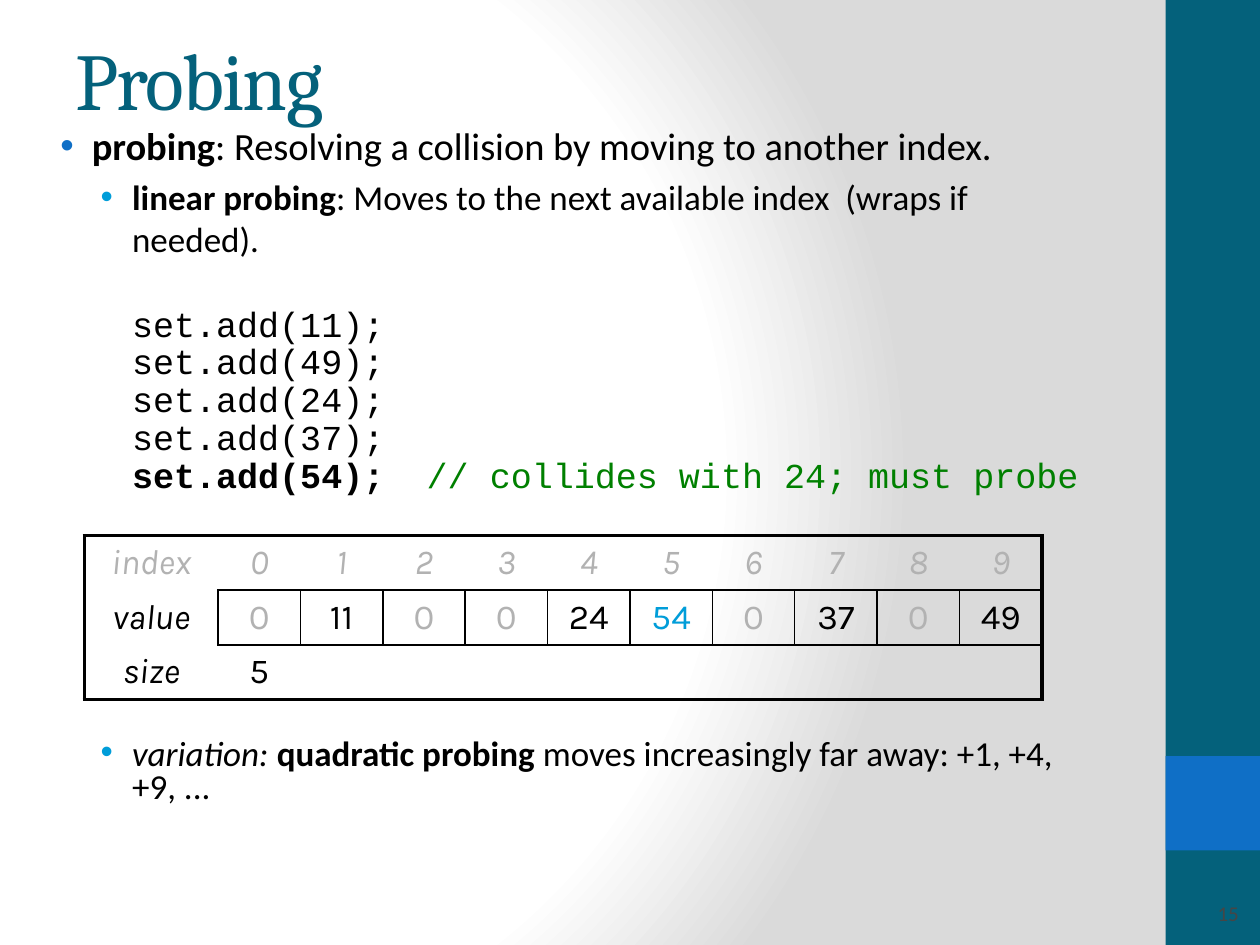
from lxml import etree
from pptx import Presentation
from pptx.dml.color import RGBColor
from pptx.enum.shapes import MSO_SHAPE
from pptx.enum.text import MSO_ANCHOR, PP_ALIGN
from pptx.oxml import parse_xml
from pptx.oxml.ns import nsdecls, qn
from pptx.util import Inches, Pt

RECTANGLE = MSO_SHAPE.RECTANGLE
MIDDLE = MSO_ANCHOR.MIDDLE
CENTER, RIGHT = PP_ALIGN.CENTER, PP_ALIGN.RIGHT
COLORS = {
    "teal": "04617B", "blue": "0F6FC6", "sky": "009DD9", "black": "000000",
    "green": "008000", "muted": "B2B2B2", "number": "464646",
    "white": "FFFFFF", "shade": "DADADA",
}
NO_STYLE = "{2D5ABB26-0587-4C30-8999-92F81FD0307C}"
THICK, THIN = 2.25, 1


def set_font(font, name, size, color, bold=False, italic=False):
    font.name, font.size = name, Pt(size)
    font.bold, font.italic = bold, italic
    font.color.rgb = RGBColor.from_string(COLORS[color])


def add_background(slide):
    stops = "".join(
        f'<a:gs pos="{position}"><a:srgbClr val="{COLORS[color]}"/></a:gs>'
        for position, color in ((0, "white"), (75000, "white"), (100000, "shade")))
    slide.element.cSld.insert(0, parse_xml(
        f'<p:bg {nsdecls("p", "a")}><p:bgPr><a:gradFill rotWithShape="1">'
        f'<a:gsLst>{stops}</a:gsLst><a:path path="circle">'
        '<a:fillToRect l="20000" t="50000" r="100000" b="50000"/></a:path>'
        '</a:gradFill><a:effectLst/></p:bgPr></p:bg>'))


def add_text_box(slide, left, top, width, height):
    frame = slide.shapes.add_textbox(
        Inches(left), Inches(top), Inches(width), Inches(height)).text_frame
    frame.word_wrap = True
    return frame


def add_sidebar(slide, left, top, width, height):
    for offset, band_height, color in ((0, height, "teal"), (6, width, "blue")):
        band = slide.shapes.add_shape(
            RECTANGLE, Inches(left), Inches(top + offset), Inches(width), Inches(band_height))
        band.shadow.inherit = False
        band.fill.solid()
        band.fill.fore_color.rgb = RGBColor.from_string(COLORS[color])
        band.line.fill.background()
    frame = add_text_box(slide, left, top + height - 0.45, width - 0.07, 0.4)
    frame.vertical_anchor = MIDDLE
    paragraph = frame.paragraphs[0]
    paragraph.text = "15"
    paragraph.alignment = RIGHT
    set_font(paragraph.font, "Calibri", 12, "number")


def add_title(slide, left, top, width, height):
    frame = add_text_box(slide, left, top, width, height)
    frame.vertical_anchor = MIDDLE
    paragraph = frame.paragraphs[0]
    run = paragraph.add_run()
    run.text = "Probing"
    set_font(run.font, "Cambria", 46, "teal")
    run.font._element.set("spc", "-100")


def set_indent(paragraph, left, bullet_color=None):
    properties = paragraph._p.get_or_add_pPr()
    properties.set("marL", str(Inches(left)))
    properties.set("indent", str(Inches(-0.25) if bullet_color else 0))
    if bullet_color:
        color = etree.SubElement(properties, qn("a:buClr"))
        etree.SubElement(color, qn("a:srgbClr"), val=COLORS[bullet_color])
        etree.SubElement(properties, qn("a:buFont"), typeface="Arial")
        etree.SubElement(properties, qn("a:buChar"), char="•")
    else:
        etree.SubElement(properties, qn("a:buNone"))


def add_body(slide, left, top, width, height):
    frame = add_text_box(slide, left, top, width, height)

    def add_paragraph(runs, font, size, indent, bullet, before, spacing):
        first = frame.paragraphs[0]
        paragraph = frame.add_paragraph() if first.runs else first
        paragraph.space_before = Pt(before)
        paragraph.line_spacing = spacing
        set_indent(paragraph, indent, bullet)
        for text, style in runs:
            run = paragraph.add_run()
            run.text = text
            set_font(run.font, font, size, **{"color": "black", **style})

    bold, italic = {"bold": True}, {"italic": True}
    add_paragraph(
        [("probing", bold), (": Resolving a collision by moving to another index.", {})],
        "Calibri", 22, 0.38, "blue", 4, 1.0)
    add_paragraph(
        [("linear probing", bold),
         (": Moves to the next available index  (wraps if needed).", {})],
        "Calibri", 20, 0.7, "sky", 4, 1.0)
    for number in (11, 49, 24, 37):
        add_paragraph([(f"set.add({number});", {})], "Courier New", 20, 0.7, None,
                      31 if number == 11 else 4.8, 0.7)
    add_paragraph(
        [("set.add(54);  ", bold), ("// collides with 24; must probe", {"color": "green"})],
        "Courier New", 20, 0.7, None, 4.8, 0.7)
    add_paragraph(
        [("variation: ", italic), ("quadratic probing", bold),
         (" moves increasingly far away: +1, +4, +9, ...", {})],
        "Calibri", 20, 0.7, "sky", 140, 0.8)


def set_borders(cell, borders):
    properties = cell._tc.get_or_add_tcPr()
    sides = [side for side in "LRTB" if side in borders]
    for position, side in enumerate(sides):
        properties.insert(position, parse_xml(
            f'<a:ln{side} {nsdecls("a")} w="{Pt(borders[side])}"><a:solidFill>'
            f'<a:srgbClr val="{COLORS["black"]}"/></a:solidFill></a:ln{side}>'))


def add_hash_table(slide, left, top, width, height):
    rows = [
        ["index", *range(10)],
        ["value", 0, 11, 0, 0, 24, 54, 0, 37, 0, 49],
        ["size", 5, *[""] * 9],
    ]
    last_row, last_column = len(rows) - 1, len(rows[0]) - 1
    table = slide.shapes.add_table(
        len(rows), len(rows[0]), Inches(left), Inches(top), Inches(width), Inches(height)).table
    table.first_row = table.horz_banding = False
    table._tbl.tblPr.find(qn("a:tableStyleId")).text = NO_STYLE
    label_width = 1.06
    for index, column in enumerate(table.columns):
        column.width = Inches((width - label_width) / last_column if index else label_width)
    for row_index, values in enumerate(rows):
        for column_index, value in enumerate(values):
            cell = table.cell(row_index, column_index)
            cell.fill.background()
            cell.vertical_anchor = MIDDLE
            paragraph = cell.text_frame.paragraphs[0]
            paragraph.text = str(value)
            paragraph.alignment = CENTER
            muted = row_index == 0 or value == 0
            color = "sky" if value == 54 else "muted" if muted else "black"
            set_font(paragraph.font, "Karla", 20, color,
                     italic=row_index == 0 or column_index == 0)
            borders = {}
            if row_index == 1 and column_index:
                borders = dict.fromkeys("LRTB", THIN)
            elif row_index == 1:
                borders["R"] = THIN
            elif column_index:
                borders["T" if row_index else "B"] = THIN
            outer = {"L": column_index == 0, "R": column_index == last_column,
                     "T": row_index == 0, "B": row_index == last_row}
            borders.update({side: THICK for side, on_edge in outer.items() if on_edge})
            set_borders(cell, borders)


def main():
    presentation = Presentation()
    presentation.slide_width, presentation.slide_height = Inches(10), Inches(7.5)
    slide = presentation.slides.add_slide(presentation.slide_layouts[6])
    add_background(slide)
    add_sidebar(slide, 9.25, 0, 0.75, 7.5)
    add_title(slide, 0.5, 0, 8.33, 1.25)
    add_body(slide, 0.25, 0.92, 8.58, 6.08)
    add_hash_table(slide, 0.67, 4.25, 7.6, 1.3)
    presentation.save("out.pptx")


main()
